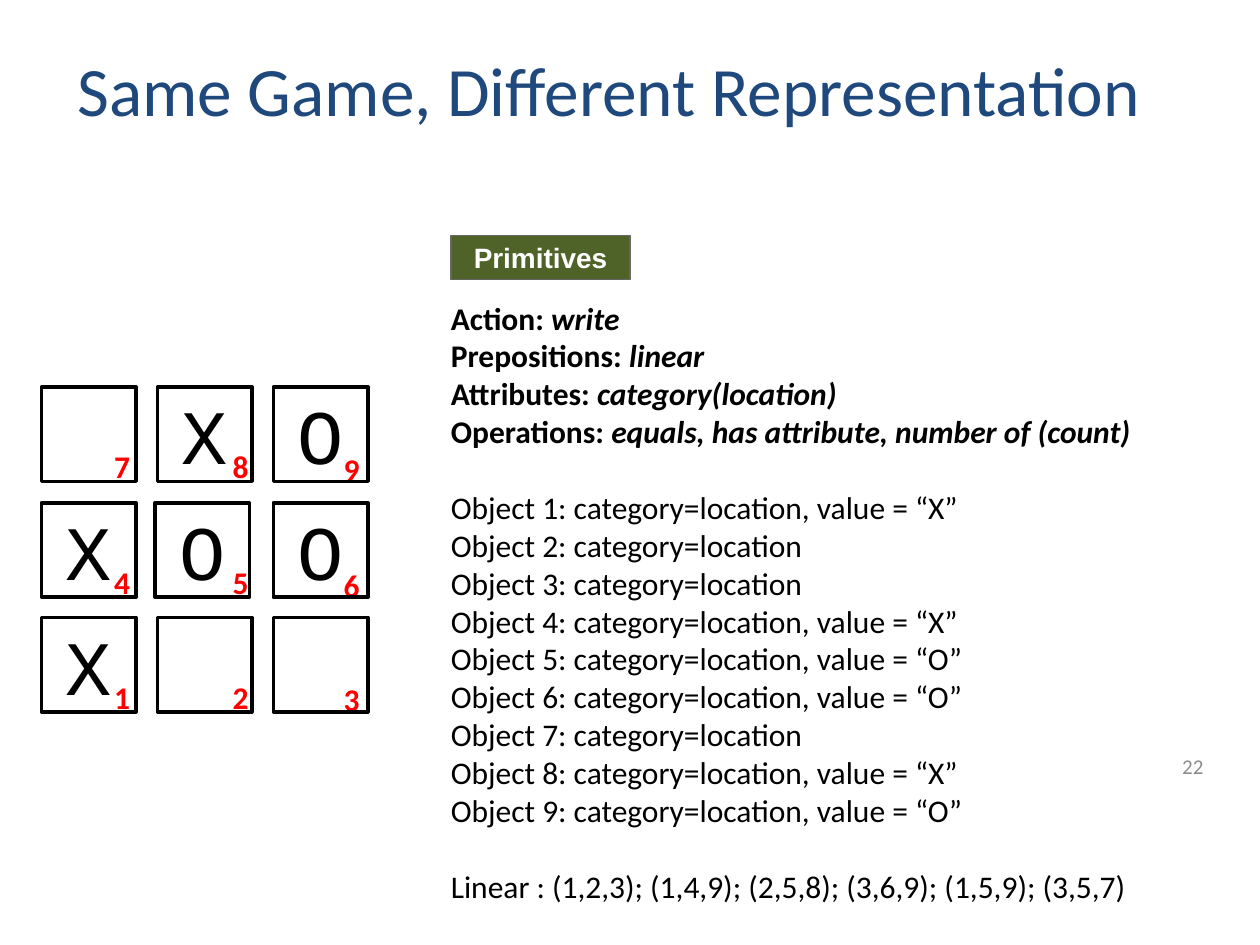
import pptx
import pptx.util
import pptx.dml.color
import pptx.enum.shapes
import pptx.enum.text
from pptx.util import Inches

ALIGN = pptx.enum.text.PP_ALIGN
ANCHOR = pptx.enum.text.MSO_ANCHOR
TITLE = "Same Game, Different Representation"
PRIMITIVES = [
    ("Action: ", "write"),
    ("Prepositions: ", "linear"),
    ("Attributes: ", "category(location)"),
    ("Operations: ", "equals, has attribute, number of (count)"),
]
MARKS = {1: "X", 4: "X", 5: "O", 6: "O", 8: "X", 9: "O"}
LINES = "Linear : (1,2,3); (1,4,9); (2,5,8); (3,6,9); (1,5,9); (3,5,7)"
CELL_LEFTS = (0.33, 1.25, 2.17)
CELL_TOPS = (4.9, 3.99, 3.07)
NUMBER_LEFTS = (0.63, 1.57, 2.45)
NUMBER_TOPS = (5.33, 4.42, 3.5)
CELL_SIZE = 0.75


def color(value):
    return pptx.dml.color.RGBColor.from_string(value)


def add_text(paragraph, text, size=18, font="Calibri", ink="000000", bold=False, italic=False):
    run = paragraph.add_run()
    run.text = text
    run.font.size = pptx.util.Pt(size)
    run.font.name = font
    run.font.color.rgb = color(ink)
    run.font.bold = bold
    run.font.italic = italic


class SlideBuilder:
    """Hold the slide and draw its elements in one style."""

    def __init__(self, slide):
        self.slide = slide

    def title(self, text, left, top, width, height):
        shape = self.slide.shapes.title
        shape.left, shape.top = Inches(left), Inches(top)
        shape.width, shape.height = Inches(width), Inches(height)
        shape.text_frame.vertical_anchor = ANCHOR.MIDDLE
        paragraph = shape.text_frame.paragraphs[0]
        paragraph.alignment = ALIGN.CENTER
        add_text(paragraph, text, size=39.6, ink="1F497D")

    def text_box(self, left, top, width, height, anchor=ANCHOR.TOP):
        shape = self.slide.shapes.add_textbox(
            Inches(left), Inches(top), Inches(width), Inches(height))
        shape.text_frame.word_wrap = True
        shape.text_frame.vertical_anchor = anchor
        return shape.text_frame

    def label(self, text, left, top, width, height, align=ALIGN.CENTER, anchor=ANCHOR.TOP, **style):
        paragraph = self.text_box(left, top, width, height, anchor).paragraphs[0]
        paragraph.alignment = align
        add_text(paragraph, text, **style)

    def rectangle(self, text, left, top, width, height, fill=None, line="000000", weight=2, **style):
        shape = self.slide.shapes.add_shape(
            pptx.enum.shapes.MSO_SHAPE.RECTANGLE,
            Inches(left), Inches(top), Inches(width), Inches(height))
        shape.shadow.inherit = False
        if fill:
            shape.fill.solid()
            shape.fill.fore_color.rgb = color(fill)
        else:
            shape.fill.background()
        shape.line.color.rgb = color(line)
        shape.line.width = pptx.util.Pt(weight)
        if text:
            shape.text_frame.vertical_anchor = ANCHOR.MIDDLE
            paragraph = shape.text_frame.paragraphs[0]
            paragraph.alignment = ALIGN.CENTER
            add_text(paragraph, text, **style)

    def description(self, left, top, width, height):
        frame = self.text_box(left, top, width, height)
        rows = [[(name, {"bold": True}), (value, {"bold": True, "italic": True})]
                for name, value in PRIMITIVES]
        for number in range(1, 10):
            value = f", value = “{MARKS[number]}”" if number in MARKS else ""
            rows.append([(f"Object {number}: category=location{value}", {})])
        rows.append([(LINES, {})])
        group_starts = (len(PRIMITIVES), len(rows) - 1)
        for index, row in enumerate(rows):
            paragraph = frame.add_paragraph() if index else frame.paragraphs[0]
            if index in group_starts:
                paragraph.space_before = pptx.util.Pt(22)
            for text, style in row:
                add_text(paragraph, text, **style)

    def board(self):
        places = [(number, *divmod(number - 1, 3)) for number in range(1, 10)]
        for number, row, column in places:
            drop = 0.02 if column == 2 else 0
            self.label(str(number), NUMBER_LEFTS[column], NUMBER_TOPS[row] + drop,
                       0.68, 0.4, ink="FF0000", bold=True)
        for number, row, column in places:
            shift = 0.02 if number == 5 else 0
            self.rectangle(MARKS.get(number), CELL_LEFTS[column] - shift, CELL_TOPS[row],
                           CELL_SIZE, CELL_SIZE, size=44, font="Courier New")


def main():
    presentation = pptx.Presentation()
    presentation.slide_width = Inches(10)
    presentation.slide_height = Inches(7.5)
    builder = SlideBuilder(presentation.slides.add_slide(presentation.slide_layouts[5]))
    builder.title(TITLE, 0.17, 0.08, 9.33, 1.25)
    builder.label("22", 7.32, 5.88, 2.33, 0.4, align=ALIGN.RIGHT, anchor=ANCHOR.MIDDLE,
                  size=12, ink="8C8C8C")
    builder.description(3.48, 2.32, 6.17, 4.95)
    builder.rectangle("Primitives", 3.58, 1.87, 1.42, 0.35, fill="4F6228", line="666666",
                      weight=0.75, size=16, font="Arial", ink="FFFFFF", bold=True)
    builder.board()
    presentation.save("out.pptx")


if __name__ == "__main__":
    main()
